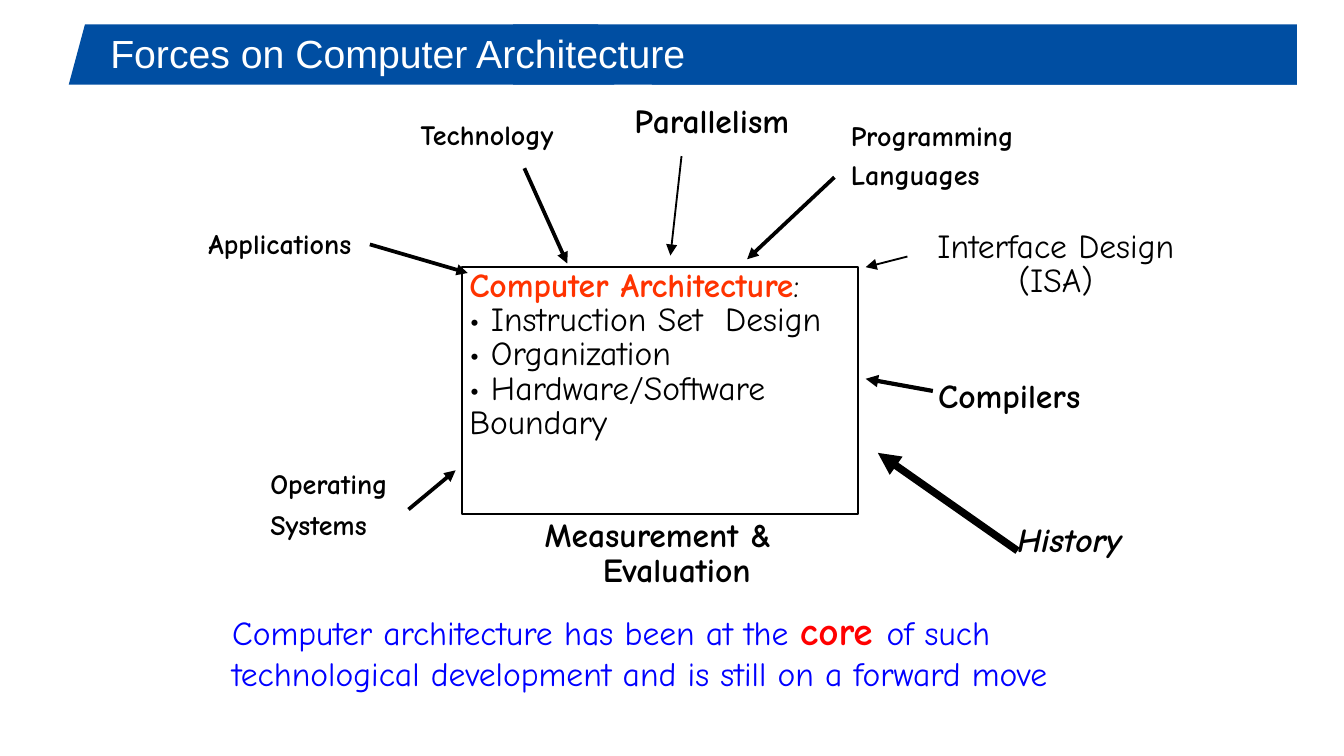
from lxml.etree import SubElement
from pptx import Presentation
from pptx.dml.color import RGBColor
from pptx.enum.shapes import MSO_CONNECTOR, MSO_SHAPE
from pptx.enum.text import MSO_ANCHOR, MSO_AUTO_SIZE, PP_ALIGN
from pptx.oxml.ns import qn
from pptx.util import Cm, Pt

BLACK = RGBColor(0x00, 0x00, 0x00)
WHITE = RGBColor(0xFF, 0xFF, 0xFF)
BAND_BLUE = RGBColor(0x00, 0x4E, 0xA2)
TEXT_BLUE = RGBColor(0x00, 0x00, 0xFF)
ORANGE = RGBColor(0xFF, 0x33, 0x00)
RED = RGBColor(0xFF, 0x00, 0x00)
HAND_FONT = "Comic Neue"
HEADING_FONT = "Arial"

HEADING = "Forces on Computer Architecture"
BANDS = [
    (MSO_SHAPE.TRAPEZOID, (1.30, 0.46, 10.31, 1.14)),
    (MSO_SHAPE.RECTANGLE, (9.70, 0.46, 14.81, 1.14)),
    (MSO_SHAPE.RECTANGLE, (12.32, 1.50, 12.19, 0.10)),
]

ARCHITECTURE_PLACE = (8.74, 5.05, 7.47, 4.67)
ARCHITECTURE = [
    [("Computer Architecture", 18, ORANGE, True), (":", 18, BLACK, False)],
    [("• Instruction Set  Design", 18, BLACK, False)],
    [("• Organization", 18, BLACK, False)],
    [("• Hardware/Software Boundary", 18, BLACK, False)],
]

SMALL_FORCES = [
    ("Technology", 7.82, 2.16, 3.18),
    ("Programming", 15.95, 2.18, 3.56),
    ("Languages", 15.95, 2.92, 2.87),
    ("Operating", 4.98, 8.76, 2.87),
    ("Systems", 4.98, 9.53, 2.49),
    ("Applications", 3.81, 4.22, 3.43),
]
PARALLELISM = [[("Parallelism", 18, BLACK, True)]]
HISTORY = [[("History", 18, BLACK, True)]]
INTERFACE = [[("Interface Design", 18, BLACK, False)], [("(ISA)", 18, BLACK, False)]]
MEASUREMENT = [[("Measurement & Evaluation", 18, BLACK, True)]]
COMPILERS = [[("Compilers", 18, BLACK, True)]]
CONCLUSION = [[
    ("Computer architecture has been at the ", 18, TEXT_BLUE, False),
    ("core ", 21, RED, True),
    ("of such technological development and is still on a forward move", 18, TEXT_BLUE, False),
]]

ARROWS = [
    ((6.99, 4.62), (8.84, 5.16), 2),
    ((7.72, 9.63), (8.61, 8.89), 2),
    ((9.91, 3.18), (10.72, 4.98), 2),
    ((15.77, 3.35), (14.12, 4.90), 2),
    ((19.23, 10.41), (16.59, 8.56), 4),
    ((17.15, 4.85), (16.36, 5.05), 1),
    ((12.88, 2.95), (12.67, 4.83), 1),
    ((17.63, 7.39), (16.36, 7.16), 2.25),
]


def lengths(values):
    return [Cm(value) for value in values]


def write(frame, paragraphs, spacing=None, align=PP_ALIGN.LEFT, font=HAND_FONT):
    for index, runs in enumerate(paragraphs):
        paragraph = frame.paragraphs[0] if index == 0 else frame.add_paragraph()
        paragraph.alignment = align
        if spacing:
            paragraph.line_spacing = spacing
        for text, size, color, bold in runs:
            run = paragraph.add_run()
            run.text = text
            run.font.name = font
            run.font.size = Pt(size)
            run.font.bold = bold
            run.font.color.rgb = color


def tighten(frame):
    frame.margin_left = frame.margin_right = Cm(0.13)
    frame.margin_top = frame.margin_bottom = Cm(0.05)


def add_label(slide, place, paragraphs, spacing=None, align=PP_ALIGN.LEFT, wrap=False, tight=True):
    frame = slide.shapes.add_textbox(*lengths(place)).text_frame
    frame.word_wrap = wrap
    frame.auto_size = MSO_AUTO_SIZE.SHAPE_TO_FIT_TEXT
    if tight:
        tighten(frame)
    write(frame, paragraphs, spacing, align)
    return frame


def add_heading(slide):
    title = slide.shapes.title
    for kind, place in BANDS:
        band = slide.shapes.add_shape(kind, *lengths(place))
        band.shadow.inherit = False
        band.fill.solid()
        band.fill.fore_color.rgb = BAND_BLUE
        band.line.fill.background()
        if kind == MSO_SHAPE.TRAPEZOID:
            band.adjustments[0] = 0.27
        title.element.addprevious(band.element)
    title.left, title.top, title.width, title.height = lengths((1.83, 0.48, 21.95, 1.04))
    title.text_frame.vertical_anchor = MSO_ANCHOR.MIDDLE
    title.text_frame.auto_size = MSO_AUTO_SIZE.NONE
    write(title.text_frame, [[(HEADING, 21, WHITE, False)]], font=HEADING_FONT)


def add_architecture(slide):
    architecture = slide.shapes.add_shape(MSO_SHAPE.RECTANGLE, *lengths(ARCHITECTURE_PLACE))
    architecture.shadow.inherit = False
    architecture.fill.background()
    architecture.line.color.rgb = BLACK
    architecture.line.width = Pt(1)
    frame = architecture.text_frame
    frame.word_wrap = True
    frame.vertical_anchor = MSO_ANCHOR.TOP
    tighten(frame)
    write(frame, ARCHITECTURE, 0.85)


def add_arrow(slide, start, end, width):
    arrow = slide.shapes.add_connector(MSO_CONNECTOR.STRAIGHT, *lengths(start + end))
    arrow.line.color.rgb = BLACK
    arrow.line.width = Pt(width)
    SubElement(arrow.line._get_or_add_ln(), qn("a:tailEnd"), type="triangle")
    SubElement(arrow.element.spPr, qn("a:effectLst"))


def main():
    deck = Presentation()
    deck.slide_width, deck.slide_height = Cm(25.4), Cm(14.29)
    slide = deck.slides.add_slide(deck.slide_layouts[5])

    add_heading(slide)
    add_architecture(slide)
    for text, left, top, width in SMALL_FORCES:
        add_label(slide, (left, top, width, 0.74), [[(text, 15, BLACK, True)]], 1.02)
    add_label(slide, (11.86, 1.96, 3.58, 0.76), PARALLELISM, 0.85)
    history = add_label(slide, (19.10, 9.80, 2.62, 0.86), HISTORY, 0.97)
    history.paragraphs[0].runs[0].font.italic = True
    add_label(slide, (17.25, 4.32, 5.41, 1.42), INTERFACE, 0.85, PP_ALIGN.CENTER)
    measurement = add_label(slide, (9.22, 9.78, 6.43, 1.42), MEASUREMENT, 0.86, PP_ALIGN.CENTER, wrap=True)
    hanging = measurement.paragraphs[0]._p.get_or_add_pPr()
    hanging.set("marL", str(Cm(0.71)))
    hanging.set("indent", str(-Cm(0.71)))
    add_label(slide, (17.48, 6.96, 3.53, 1.02), COMPILERS, tight=False)
    add_label(slide, (4.14, 11.33, 17.48, 1.93), CONCLUSION, wrap=True, tight=False)
    for start, end, width in ARROWS:
        add_arrow(slide, start, end, width)

    deck.save("out.pptx")


if __name__ == "__main__":
    main()
